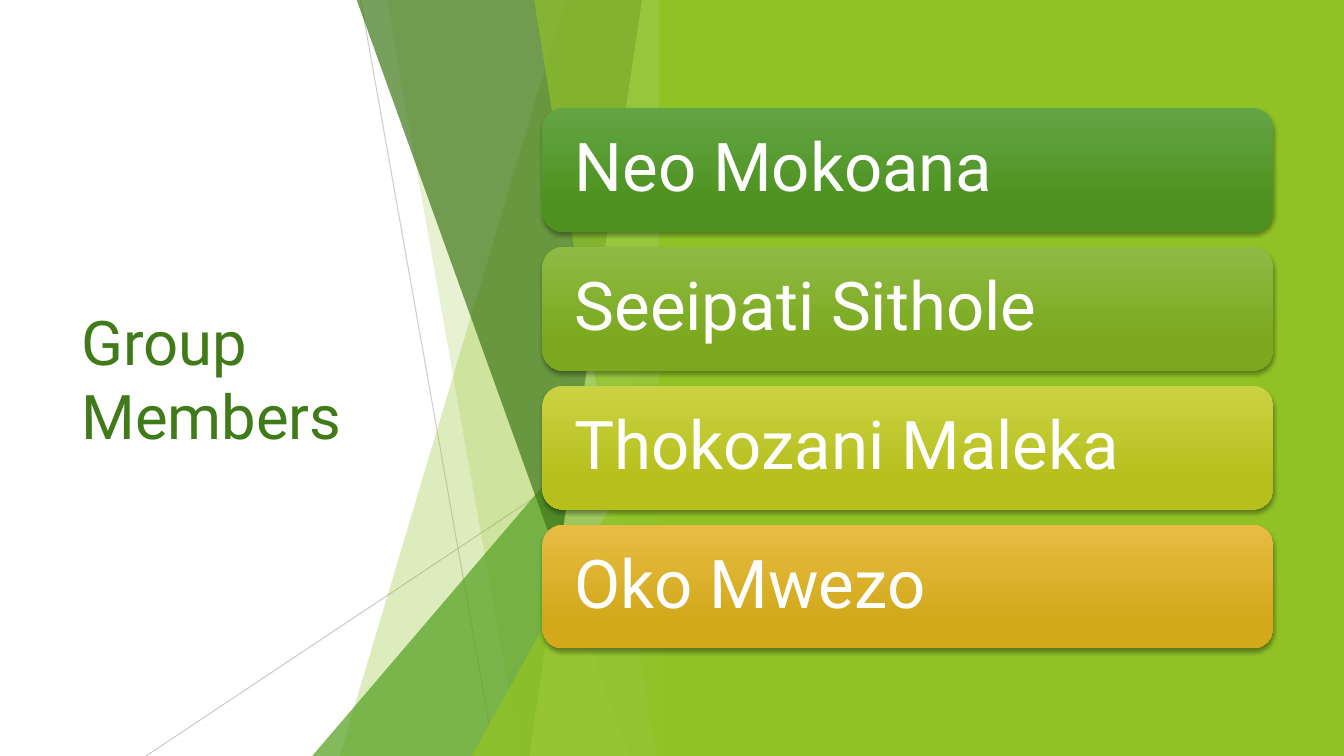
from dataclasses import dataclass

import pptx
import pptx.dml.color
import pptx.enum.shapes
import pptx.enum.text
import pptx.oxml.ns
import pptx.util
from lxml import etree

Cm = pptx.util.Cm
Pt = pptx.util.Pt
SHAPES = pptx.enum.shapes.MSO_SHAPE
WIDTH, HEIGHT = 33.87, 19.05
FACETS_RIGHT = 16.92


@dataclass(frozen=True)
class Theme:
    font: str = "Roboto"
    title_size: int = 44
    card_size: int = 48
    title: str = "407A19"
    white: str = "FFFFFF"
    lime: str = "90C226"
    green: str = "54A021"
    forest: str = "3F7819"
    pale: str = "C0E474"
    hairline: str = "BFBFBF"
    shadow: str = "000000"


THEME = Theme()
MEMBERS = [
    ("Neo Mokoana", "63A545", "4D921E"),
    ("Seeipati Sithole", "8EBB44", "7BA81D"),
    ("Thokozani Maleka", "CAD243", "B6BF1B"),
    ("Oko Mwezo", "E7BC43", "D2A91B"),
]


def rgb(value):
    return pptx.dml.color.RGBColor.from_string(value)


def add_xml(parent, tag, **attrs):
    element = etree.SubElement(parent, pptx.oxml.ns.qn(tag))
    for name, value in attrs.items():
        element.set(name, str(value))
    return element


def set_alpha(fill_parent, percent):
    color = next(fill_parent.iter(pptx.oxml.ns.qn("a:srgbClr")))
    add_xml(color, "a:alpha", val=percent * 1000)


def paint(sp, color, alpha=100):
    sp.shadow.inherit = False
    sp.line.fill.background()
    sp.fill.solid()
    sp.fill.fore_color.rgb = rgb(color)
    if alpha < 100:
        set_alpha(sp.element.spPr, alpha)


def add_hairline(s, x1, y1, x2, y2, alpha):
    line = s.shapes.add_connector(
        pptx.enum.shapes.MSO_CONNECTOR.STRAIGHT, Cm(x1), Cm(y1), Cm(x2), Cm(y2))
    line.line.color.rgb = rgb(THEME.hairline)
    line.line.width = Pt(0.75)
    set_alpha(line.element.spPr, alpha)
    add_xml(line.element.spPr, "a:effectLst")


def add_band(s, top_x, bottom_x, color, alpha):
    builder = s.shapes.build_freeform(Cm(top_x), 0)
    builder.add_line_segments([
        (Cm(FACETS_RIGHT), 0),
        (Cm(FACETS_RIGHT), Cm(HEIGHT)),
        (Cm(bottom_x), Cm(HEIGHT)),
    ])
    paint(builder.convert_to_shape(), color, alpha)


def add_corner(s, left, top, color, alpha):
    sp = s.shapes.add_shape(
        SHAPES.ISOSCELES_TRIANGLE, Cm(left), Cm(top),
        Cm(FACETS_RIGHT - left), Cm(HEIGHT - top))
    sp.adjustments[0] = 1
    paint(sp, color, alpha)


def add_panel(s, left):
    sp = s.shapes.add_shape(
        SHAPES.RECTANGLE, Cm(left), 0, Cm(WIDTH - left), Cm(HEIGHT))
    paint(sp, THEME.lime)


def write(sp, text, size, color, inset):
    tf = sp.text_frame
    tf.word_wrap = True
    tf.vertical_anchor = pptx.enum.text.MSO_ANCHOR.MIDDLE
    tf.margin_left = tf.margin_right = Cm(inset)
    p = tf.paragraphs[0]
    p.text = text
    p.alignment = pptx.enum.text.PP_ALIGN.LEFT
    p.font.name = THEME.font
    p.font.size = Pt(size)
    p.font.color.rgb = rgb(color)
    return p


def add_title(s, text):
    sp = s.shapes.add_textbox(Cm(1.8), Cm(3.84), Cm(9.86), Cm(11.38))
    write(sp, text, THEME.title_size, THEME.title, 0.25)


def add_card_shadow(sp):
    sp.shadow.inherit = False
    effects = sp.element.spPr.find(pptx.oxml.ns.qn("a:effectLst"))
    shadow = add_xml(effects, "a:outerShdw", blurRad=Pt(3), dist=Pt(2),
                     dir=90 * 60000, algn="ctr", rotWithShape=0)
    add_xml(shadow, "a:srgbClr", val=THEME.shadow)
    set_alpha(shadow, 35)


def add_card(s, top, name, light, dark):
    sp = s.shapes.add_shape(
        SHAPES.ROUNDED_RECTANGLE, Cm(13.67), Cm(top), Cm(18.42), Cm(3.12))
    sp.line.fill.background()
    sp.fill.gradient()
    sp.fill.gradient_angle = 270
    for stop, position, color in zip(sp.fill.gradient_stops, (0, 0.78), (light, dark)):
        stop.position = position
        stop.color.rgb = rgb(color)
    add_card_shadow(sp)
    p = write(sp, name, THEME.card_size, THEME.white, 0.66)
    p.line_spacing = 0.9


def add_facets(s):
    add_hairline(s, 9.09, 0, 12.47, HEIGHT, 75)
    add_hairline(s, FACETS_RIGHT, 10.24, 3.68, HEIGHT, 80)
    add_band(s, 14.25, 8.56, THEME.lime, 30)
    add_band(s, 9.75, 13.11, THEME.lime, 20)
    add_corner(s, 7.87, 8.46, THEME.green, 72)
    add_band(s, 8.99, 15.85, THEME.forest, 70)
    add_band(s, 16.18, 13.34, THEME.pale, 70)
    add_band(s, 13.46, 16.54, THEME.lime, 65)
    add_corner(s, 11.89, 9.98, THEME.lime, 80)


def main():
    prs = pptx.Presentation()
    prs.slide_width, prs.slide_height = Cm(WIDTH), Cm(HEIGHT)
    s = prs.slides.add_slide(prs.slide_layouts[6])
    add_title(s, "Group Members")
    add_facets(s)
    add_panel(s, 16.61)
    for i, (name, light, dark) in enumerate(MEMBERS):
        add_card(s, 2.72 + 3.5 * i, name, light, dark)
    prs.save("out.pptx")


if __name__ == "__main__":
    main()
